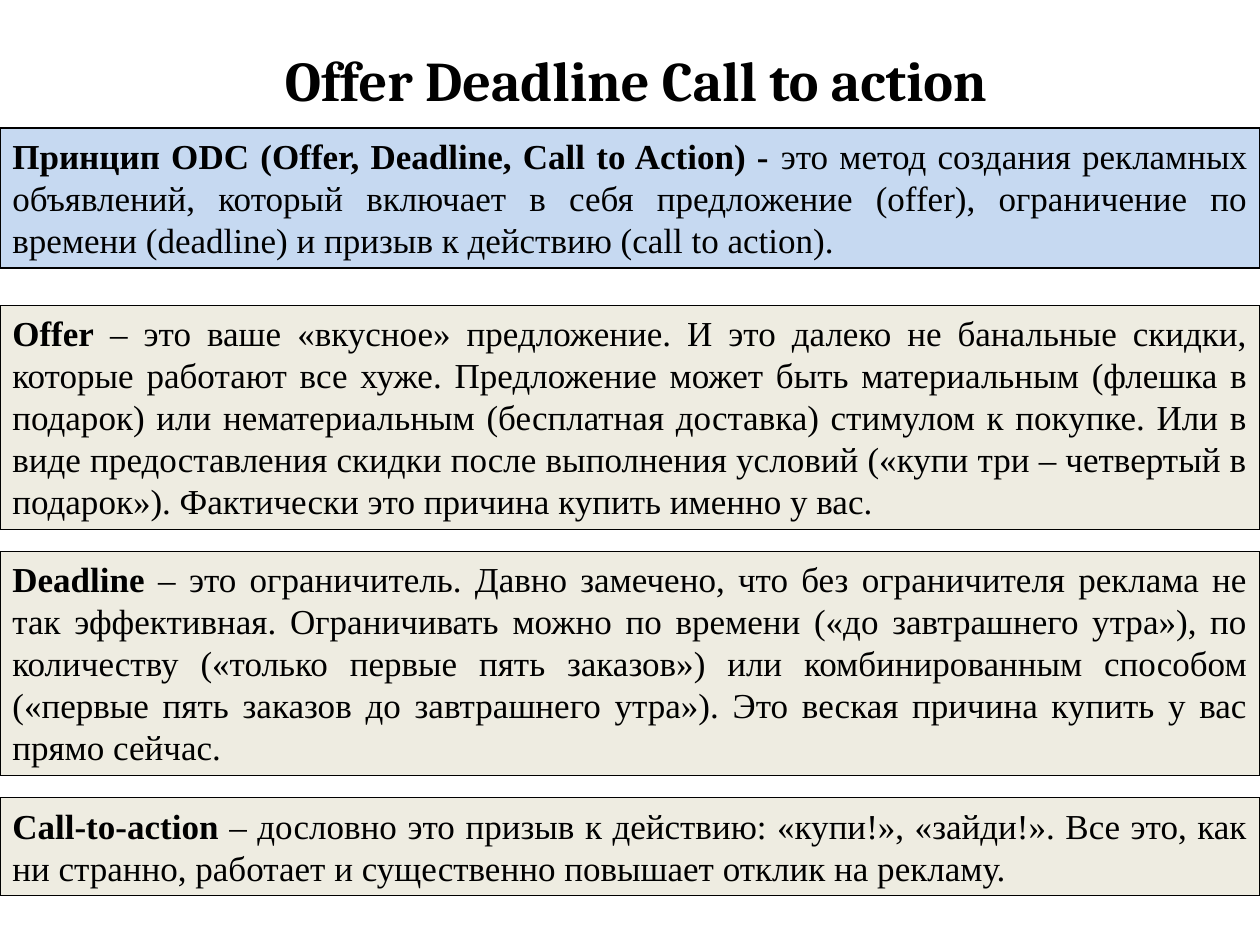
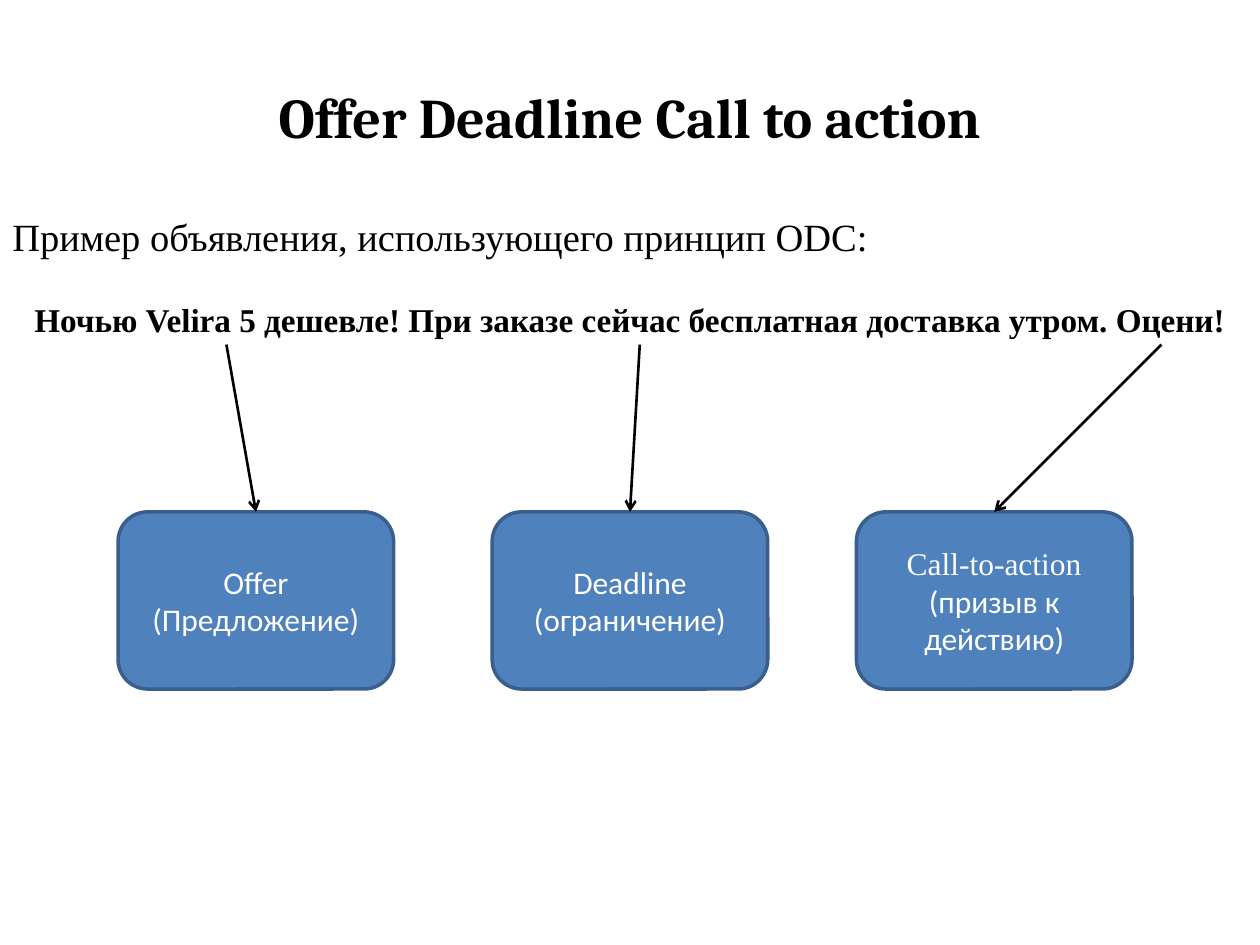
from lxml.etree import SubElement
from pptx import Presentation
from pptx.dml.color import RGBColor
from pptx.enum.shapes import MSO_CONNECTOR, MSO_SHAPE
from pptx.enum.text import MSO_ANCHOR, PP_ALIGN
from pptx.oxml.ns import qn
from pptx.util import Pt

BLACK = RGBColor(0x00, 0x00, 0x00)
WHITE = RGBColor(0xFF, 0xFF, 0xFF)
CREAM = RGBColor(0xEE, 0xEC, 0xE1)
SKY = RGBColor(0xC6, 0xD9, 0xF1)
BLUE = RGBColor(0x4F, 0x81, 0xBD)
NAVY = RGBColor(0x3A, 0x5F, 0x8C)

SERIF = "Times New Roman"
SANS = "Calibri"
PAGE_WIDTH, PAGE_HEIGHT = 720, 540
TITLE = "Offer Deadline Call to action"
TITLE_FORMAT = {"name": "Cambria", "size": Pt(32), "bold": True}
BODY_FORMAT = {"name": SERIF, "size": Pt(20), "bold": False}
LEAD_FORMAT = {"name": SERIF, "size": Pt(22), "bold": False}
EXAMPLE_FORMAT = {"name": SERIF, "size": Pt(19), "bold": True}
LABEL_FORMAT = {"name": SANS, "size": Pt(18), "bold": False}

PRINCIPLE = (
    "Принцип ODC (Offer, Deadline, Call to Action) - ",
    "это метод создания рекламных объявлений, который включает в себя предложение "
    "(offer), ограничение по времени (deadline) и призыв к действию (call to action).",
)
DEFINITIONS = [
    (128, "Offer",
     " – это ваше «вкусное» предложение. И это далеко не банальные скидки, которые "
     "работают все хуже. Предложение может быть материальным (флешка в подарок) или "
     "нематериальным (бесплатная доставка) стимулом к покупке. Или в виде "
     "предоставления скидки после выполнения условий («купи три – четвертый в "
     "подарок»). Фактически это причина купить именно у вас."),
    (128, "Deadline ",
     "– это ограничитель. Давно замечено, что без ограничителя реклама не так "
     "эффективная. Ограничивать можно по времени («до завтрашнего утра»), по "
     "количеству («только первые пять заказов») или комбинированным способом "
     "(«первые пять заказов до завтрашнего утра»). Это веская причина купить у вас "
     "прямо сейчас."),
    (55.7, "Call-to-action ",
     "– дословно это призыв к действию: «купи!», «зайди!». Все это, как ни странно, "
     "работает и существенно повышает отклик на рекламу."),
]
DEFINITION_GAP = 12.7

LEAD = "Пример объявления, использующего принцип ODC:"
EXAMPLE = "Ночью Velira 5 дешевле! При заказе сейчас бесплатная доставка утром. Оцени!"
LABELS = [
    (67.5, 129.4, [("Offer (Предложение)", SANS)]),
    (281.25, 365.6, [("Deadline (ограничение)", SANS)]),
    (489.4, 663.75, [("Call-to-action", SERIF), ("(призыв к действию)", SANS)]),
]
LABEL_TOP, LABEL_WIDTH, LABEL_HEIGHT = 292.5, 157.5, 101.25
ARROW_TOP = 196.9


def add_span(para, text, values, color=BLACK):
    span = para.add_run()
    span.text = text
    for name, value in values.items():
        setattr(span.font, name, value)
    span.font.color.rgb = color


def add_text_box(page, left, top, width, height, anchor):
    box = page.shapes.add_textbox(Pt(left), Pt(top), Pt(width), Pt(height))
    box.text_frame.word_wrap = True
    box.text_frame.vertical_anchor = anchor
    return box.text_frame


def add_panel(page, kind, bounds, fill, line, weight, anchor):
    box = page.shapes.add_shape(kind, *map(Pt, bounds))
    box.shadow.inherit = False
    box.fill.solid()
    box.fill.fore_color.rgb = fill
    box.line.color.rgb = line
    box.line.width = Pt(weight)
    box.text_frame.word_wrap = True
    box.text_frame.vertical_anchor = anchor
    return box.text_frame


def add_title(page, left, top):
    frame = add_text_box(page, left, top, 648, 90, MSO_ANCHOR.MIDDLE)
    para = frame.paragraphs[0]
    para.alignment = PP_ALIGN.CENTER
    add_span(para, TITLE, TITLE_FORMAT)


def add_definition(page, top, height, fill, term, meaning):
    frame = add_panel(page, MSO_SHAPE.RECTANGLE, (0, top, PAGE_WIDTH, height),
                      fill, BLACK, 0.75, MSO_ANCHOR.TOP)
    para = frame.paragraphs[0]
    para.alignment = PP_ALIGN.JUSTIFY
    add_span(para, term, BODY_FORMAT | {"bold": True})
    add_span(para, meaning, BODY_FORMAT)


def add_example(page, top, height):
    frame = add_text_box(page, 0, top, PAGE_WIDTH, height, MSO_ANCHOR.TOP)
    lead = frame.paragraphs[0]
    lead.alignment = PP_ALIGN.JUSTIFY
    add_span(lead, LEAD, LEAD_FORMAT)
    example = frame.add_paragraph()
    example.alignment = PP_ALIGN.CENTER
    example.space_before = Pt(23)
    add_span(example, EXAMPLE, EXAMPLE_FORMAT)


def add_label(page, left, top, lines):
    bounds = (left, top, LABEL_WIDTH, LABEL_HEIGHT)
    frame = add_panel(page, MSO_SHAPE.ROUNDED_RECTANGLE, bounds,
                      BLUE, NAVY, 2, MSO_ANCHOR.MIDDLE)
    for index, (text, font_name) in enumerate(lines):
        para = frame.add_paragraph() if index else frame.paragraphs[0]
        para.alignment = PP_ALIGN.CENTER
        add_span(para, text, LABEL_FORMAT | {"name": font_name}, WHITE)


def add_arrow(page, *ends):
    arrow = page.shapes.add_connector(MSO_CONNECTOR.STRAIGHT, *map(Pt, ends))
    arrow.line.color.rgb = BLACK
    arrow.line.width = Pt(1.5)
    SubElement(arrow.line._get_or_add_ln(), qn("a:tailEnd"), type="arrow")
    SubElement(arrow._element.spPr, qn("a:effectLst"))


def build_definitions_page(page):
    add_title(page, 39.6, 0)
    add_definition(page, 73.2, 80, SKY, *PRINCIPLE)
    top = 174.5
    for height, term, meaning in DEFINITIONS:
        add_definition(page, top, height, CREAM, term, meaning)
        top += height + DEFINITION_GAP


def build_example_page(page):
    add_title(page, 36, 21.6)
    add_example(page, 118.1, 186.5)
    for left, arrow_left, lines in LABELS:
        add_label(page, left, LABEL_TOP, lines)
        add_arrow(page, arrow_left, ARROW_TOP, left + LABEL_WIDTH / 2, LABEL_TOP)


def main():
    deck = Presentation()
    deck.slide_width, deck.slide_height = Pt(PAGE_WIDTH), Pt(PAGE_HEIGHT)
    for build in (build_definitions_page, build_example_page):
        build(deck.slides.add_slide(deck.slide_layouts[6]))
    deck.save("out.pptx")


if __name__ == "__main__":
    main()
